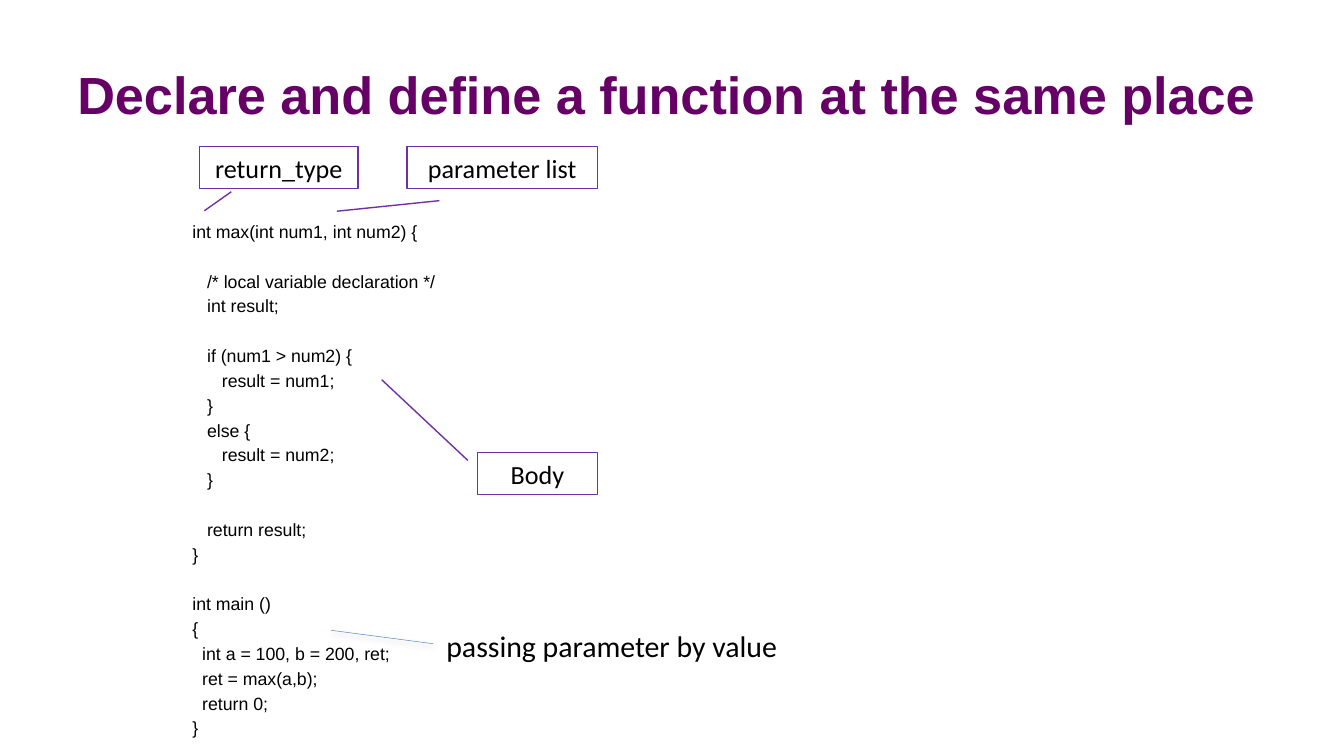
import pptx
import pptx.util
import pptx.dml.color
import pptx.enum.shapes
import pptx.enum.text
import pptx.oxml
import pptx.oxml.ns

PURPLE = pptx.dml.color.RGBColor(0x66, 0x00, 0x66)
VIOLET = pptx.dml.color.RGBColor(0x70, 0x30, 0xA0)
BLUE = pptx.dml.color.RGBColor(0x4F, 0x81, 0xBD)
BLACK = pptx.dml.color.RGBColor(0, 0, 0)

CELL = pptx.util.Inches(0.1)
COLUMNS, ROWS = 100, 56.25
LINE_PITCH = pptx.util.Pt(13.3)
SPACE_WIDTH = pptx.util.Pt(2.64)
CENTER = pptx.enum.text.PP_ALIGN.CENTER
MIDDLE = pptx.enum.text.MSO_ANCHOR.MIDDLE

TITLE_FORMAT = {"name": "Arial", "size": pptx.util.Pt(28), "bold": True}
CODE_FORMAT = {"name": "Arial", "size": pptx.util.Pt(9.5)}
LABEL_FORMAT = {"name": "Calibri", "size": pptx.util.Pt(14)}
NOTE_FORMAT = {"name": "Calibri", "size": pptx.util.Pt(16)}

CODE = """int max(int num1, int num2) {

   /* local variable declaration */
   int result;

   if (num1 > num2) {
      result = num1;
   }
   else {
      result = num2;
   }

   return result;
}

int main ()
{
  int a = 100, b = 200, ret;
  ret = max(a,b);
  return 0;
}"""

CALLOUTS = [
    ("return_type", (14.85, 10.9, 11.8, 3.15), (1.07, 0.2, 1.52, 0.03)),
    ("parameter list", (30.3, 10.9, 14.15, 3.15), (1.28, 0.17, 1.53, -0.37)),
    ("Body", (35.53, 33.67, 8.92, 3.15), (0.19, -0.08, -1.72, -0.8)),
]

SHADOW = (
    '<a:effectLst %s><a:outerShdw blurRad="39370" dist="20320" dir="5400000" rotWithShape="0">'
    '<a:srgbClr val="000000"><a:alpha val="38000"/></a:srgbClr>'
    "</a:outerShdw></a:effectLst>" % pptx.oxml.ns.nsdecls("a")
)


def cells(*counts):
    """Turn grid counts into slide lengths."""
    return [round(count * CELL) for count in counts]


def apply_format(target, values):
    """Set each attribute named in a dict of format values."""
    for key, value in values.items():
        setattr(target, key, value)


def write(paragraph, words, font_format, color=BLACK):
    """Put one formatted run in a paragraph."""
    run = paragraph.add_run()
    run.text = words
    apply_format(run.font, font_format)
    run.font.color.rgb = color


def add_text_frame(slide, box, **frame_format):
    """Add a text box and return its formatted frame."""
    frame = slide.shapes.add_textbox(*cells(*box)).text_frame
    apply_format(frame, {"word_wrap": True, **frame_format})
    return frame


def add_title(slide, box):
    """Place the heading in its box."""
    margin = cells(0.75)[0]
    frame = add_text_frame(slide, box, vertical_anchor=MIDDLE,
                           margin_left=margin, margin_right=margin)
    write(frame.paragraphs[0], "Declare and define a function at the same place",
          TITLE_FORMAT, PURPLE)


def add_code(slide, box):
    """Place the listing, with indents and gaps taken from its layout."""
    frame = add_text_frame(slide, box, margin_top=cells(2.07)[0])
    gap = 0
    for index, line in enumerate(CODE.splitlines()):
        words = line.strip()
        if not words:
            gap += 1
            continue
        paragraph = frame.add_paragraph() if index else frame.paragraphs[0]
        apply_format(paragraph, {"line_spacing": LINE_PITCH, "space_before": gap * LINE_PITCH})
        indent = (len(line) - len(words)) * SPACE_WIDTH
        paragraph._p.get_or_add_pPr().set("marL", str(indent))
        write(paragraph, words, CODE_FORMAT)
        gap = 0


def add_callout(slide, box, words, pointer):
    """Place an outlined label with its pointer line."""
    kind = pptx.enum.shapes.MSO_SHAPE.LINE_CALLOUT_1
    callout = slide.shapes.add_shape(kind, *cells(*box))
    callout.shadow.inherit = False
    callout.fill.background()
    callout.line.color.rgb = VIOLET
    callout.line.width = pptx.util.Pt(0.75)
    for index, share in enumerate(pointer):
        callout.adjustments[index] = share
    margin = cells(0.5)[0]
    apply_format(callout.text_frame, {"vertical_anchor": MIDDLE, "word_wrap": True,
                                      "margin_left": margin, "margin_right": margin})
    label = callout.text_frame.paragraphs[0]
    label.alignment = CENTER
    write(label, words, LABEL_FORMAT)


def add_passing_note(slide, box):
    """Place the note on passing by value and the line to the code."""
    left, top, width, height = box
    frame = add_text_frame(slide, box, word_wrap=False)
    write(frame.paragraphs[0], "passing parameter by value", NOTE_FORMAT)
    ends = cells(left, top + 1.7, left - 7.6, top + 0.7)
    leader = slide.shapes.add_connector(pptx.enum.shapes.MSO_CONNECTOR.STRAIGHT, *ends)
    leader.line.color.rgb = BLUE
    leader.line.width = pptx.util.Pt(0.25)
    leader._element.spPr.append(pptx.oxml.parse_xml(SHADOW))


def build():
    """Build and save the slide."""
    deck = pptx.Presentation()
    deck.slide_width, deck.slide_height = cells(COLUMNS, ROWS)
    slide = deck.slides.add_slide(deck.slide_layouts[6])
    add_title(slide, (5, 2.3, 90, 9.4))
    add_code(slide, (13.33, 14.1, 41, 39.6))
    for words, box, pointer in CALLOUTS:
        add_callout(slide, box, words, pointer)
    add_passing_note(slide, (32.23, 46.2, 26.9, 3.7))
    deck.save("out.pptx")


build()
